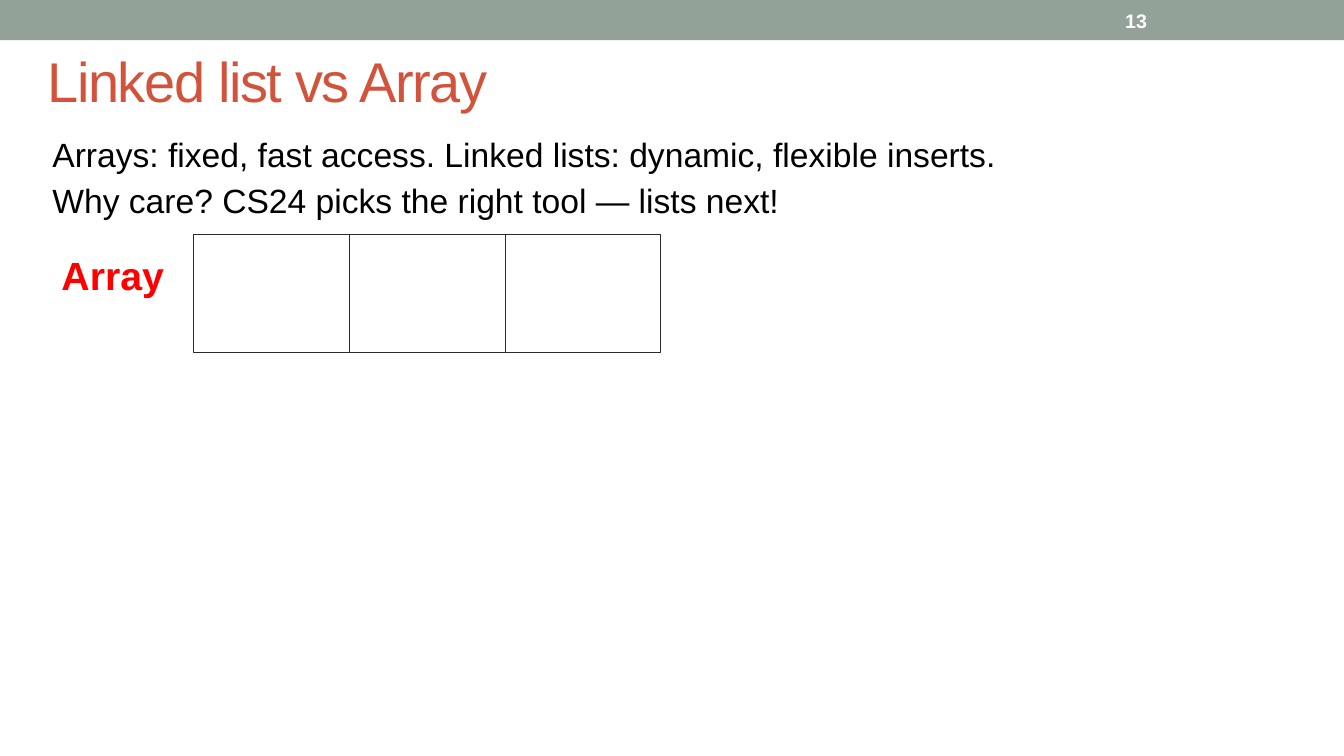
"""Build the slide comparing a linked list with an array."""
from pptx import Presentation
from pptx import util as u
from pptx.dml.color import RGBColor
from pptx.enum import shapes, text

SAGE = RGBColor(0x93, 0xA2, 0x99)
RUST = RGBColor(0xD2, 0x53, 0x3C)
RED = RGBColor(0xFF, 0x00, 0x00)
INK = RGBColor(0x29, 0x29, 0x34)
BLACK = RGBColor(0x00, 0x00, 0x00)
WHITE = RGBColor(0xFF, 0xFF, 0xFF)

SLIDE_SIZE = (13.33, 7.5)
BAND = (0, 0, 13.33, 0.4)
MIDDLE, TOP = text.MSO_ANCHOR.MIDDLE, text.MSO_ANCHOR.TOP

TEXTS = [
    {"lines": ["Linked list vs Array"], "at": (0.42, 0.25, 12, 1.08),
     "size": 40, "color": RUST, "anchor": MIDDLE, "tracking": -1},
    {"lines": ["13"], "at": (11.11, 0.04, 0.33, 0.32),
     "size": 14, "color": WHITE, "bold": True, "anchor": MIDDLE, "wrap": False},
    {"lines": ["Array"], "at": (0.56, 2.44, 2.09, 0.53),
     "size": 28, "color": RED, "bold": True},
    {"lines": ["Arrays: fixed, fast access. Linked lists: dynamic, flexible inserts.",
               "Why care? CS24 picks the right tool — lists next!"],
     "at": (0.47, 1.28, 9.56, 0.93),
     "size": 24, "color": BLACK, "wrap": False, "before": 4},
]

CELL_COUNT = 3
CELL_LEFT, CELL_TOP, CELL_WIDTH, CELL_HEIGHT = 1.92, 2.33, 1.545, 1.17


def apply(target, values):
    for name, value in values.items():
        setattr(target, name, value)


def add_box(page, at, fill, line=None):
    box = page.shapes.add_shape(shapes.MSO_SHAPE.RECTANGLE, *map(u.Inches, at))
    box.shadow.inherit = False
    box.fill.solid()
    box.fill.fore_color.rgb = fill
    if line is None:
        box.line.fill.background()
    else:
        box.line.color.rgb = line
        box.line.width = u.Pt(0.75)


def add_text(page, item):
    frame = page.shapes.add_textbox(*map(u.Inches, item["at"])).text_frame
    margins = ("margin_left", "margin_top", "margin_right", "margin_bottom")
    apply(frame, dict.fromkeys(margins, u.Inches(0.05)))
    apply(frame, {"word_wrap": item.get("wrap", True),
                  "vertical_anchor": item.get("anchor", TOP)})
    for index, line in enumerate(item["lines"]):
        para = frame.add_paragraph() if index else frame.paragraphs[0]
        para.space_before = u.Pt(item.get("before", 0))
        span = para.add_run()
        span.text = line
        apply(span.font, {"name": "Arial", "size": u.Pt(item["size"]),
                          "bold": item.get("bold", False)})
        span.font.color.rgb = item["color"]
        if "tracking" in item:
            span._r.get_or_add_rPr().set("spc", str(item["tracking"] * 100))


def main():
    deck = Presentation()
    deck.slide_width, deck.slide_height = map(u.Inches, SLIDE_SIZE)
    page = deck.slides.add_slide(deck.slide_layouts[6])
    add_box(page, BAND, SAGE)
    for index in range(CELL_COUNT):
        left = CELL_LEFT + index * CELL_WIDTH
        add_box(page, (left, CELL_TOP, CELL_WIDTH, CELL_HEIGHT), WHITE, INK)
    for item in TEXTS:
        add_text(page, item)
    deck.save("out.pptx")


if __name__ == "__main__":
    main()
